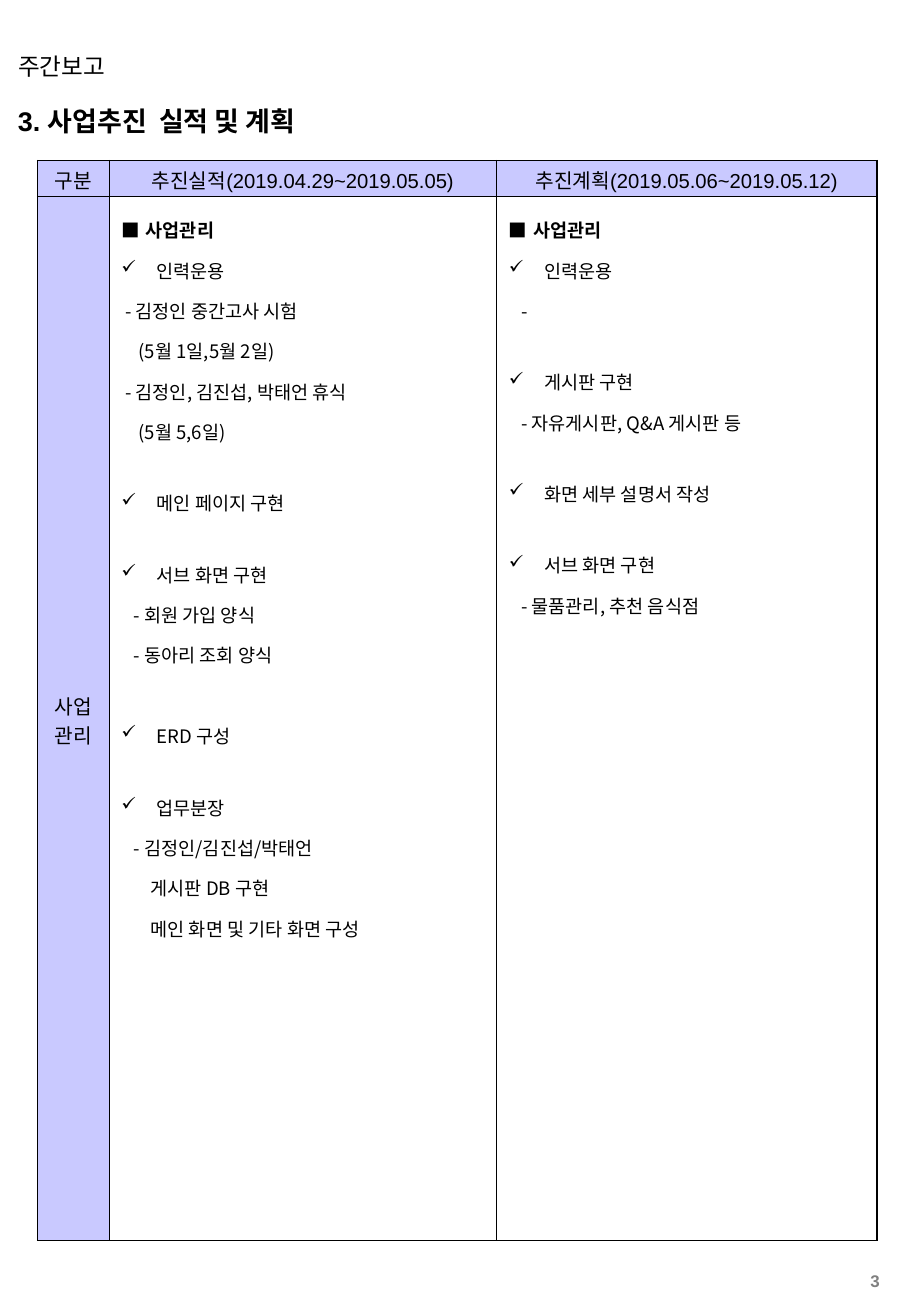
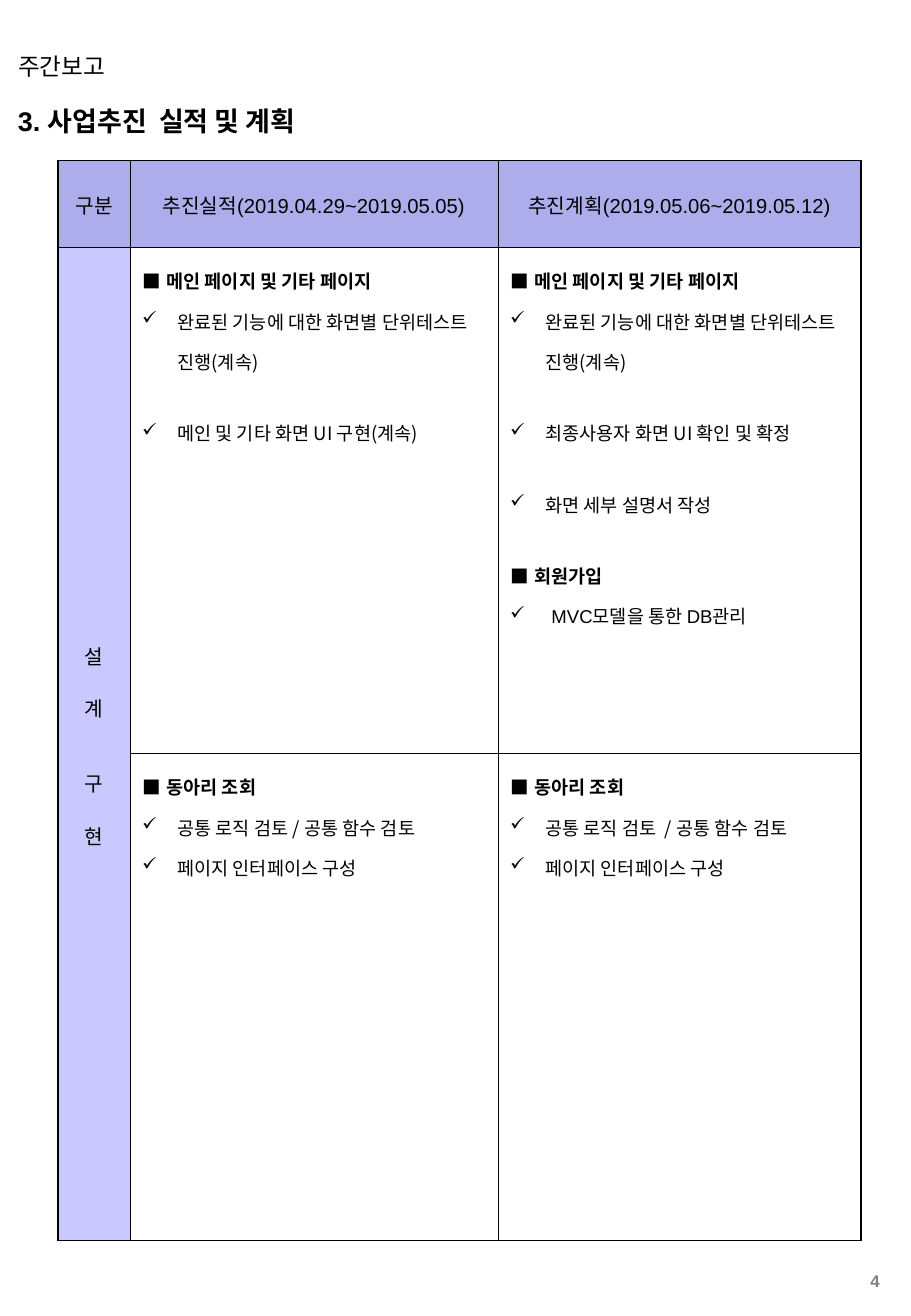
from lxml import etree
from pptx import Presentation
from pptx.dml.color import RGBColor
from pptx.enum.text import MSO_ANCHOR, PP_ALIGN
from pptx.oxml.ns import qn
from pptx.util import Inches, Pt

BLACK = RGBColor(0x00, 0x00, 0x00)
GRAY = RGBColor(0x80, 0x80, 0x80)
LAVENDER = RGBColor(0xC9, 0xC9, 0xFF)
PERIWINKLE = RGBColor(0xAD, 0xAD, 0xEB)
LATIN, KOREAN = "Arial", "Noto Sans CJK KR"

REPORT = "주간보고"
TITLE = "3. 사업추진  실적 및 계획"
HEADERS = ["구분", "추진실적(2019.04.29~2019.05.05)", "추진계획(2019.05.06~2019.05.12)"]
TABLE_TOP = 1.32
THIN, THICK = 0.45, 1.08
GAP, WIDE_GAP = 18.4, 24

# Left margin and first-line indent in inches, then font and weight
STYLES = {
    "heading": dict(margin=0.2, indent=-0.2, font=KOREAN, bold=True),
    "check": dict(margin=0.29, indent=-0.29, bullet="✓"),
    "latin check": dict(margin=0.34, indent=-0.34, font=LATIN, bullet="✓"),
    "outer dash": dict(margin=0.03),
    "outer more": dict(margin=0.14),
    "dash": dict(margin=0.1),
    "more": dict(margin=0.24),
}

# Each line: style, text, optional space before in points
MANAGEMENT_DONE = [
    ("heading", "■\t사업관리"),
    ("check", "인력운용"),
    ("outer dash", "- 김정인 중간고사 시험"),
    ("outer more", "(5월 1일,5월 2일)"),
    ("outer dash", "- 김정인, 김진섭, 박태언 휴식"),
    ("outer more", "(5월 5,6일)"),
    ("check", "메인 페이지 구현", GAP),
    ("check", "서브 화면 구현", GAP),
    ("dash", "- 회원 가입 양식"),
    ("dash", "- 동아리 조회 양식"),
    ("check", "ERD 구성", WIDE_GAP),
    ("check", "업무분장", GAP),
    ("dash", "- 김정인/김진섭/박태언"),
    ("more", "게시판 DB 구현"),
    ("more", "메인 화면 및 기타 화면 구성"),
]
MANAGEMENT_PLAN = [
    ("heading", "■\t사업관리"),
    ("check", "인력운용"),
    ("dash", "-"),
    ("check", "게시판 구현", GAP),
    ("dash", "- 자유게시판, Q&A 게시판 등"),
    ("check", "화면 세부 설명서 작성", GAP),
    ("check", "서브 화면 구현", GAP),
    ("dash", "- 물품관리, 추천 음식점"),
]
PAGES_COMMON = [
    ("heading", "■\t메인 페이지 및 기타 페이지"),
    ("check", "완료된 기능에 대한 화면별 단위테스트 진행(계속)"),
]
PAGES_DONE = PAGES_COMMON + [("check", "메인 및 기타 화면 UI 구현(계속)", GAP)]
PAGES_PLAN = PAGES_COMMON + [
    ("check", "최종사용자 화면 UI 확인 및 확정", GAP),
    ("check", "화면 세부 설명서 작성", GAP),
    ("heading", "■\t회원가입", GAP),
    ("latin check", "MVC모델을 통한 DB관리"),
]


def club_lines(review):
    return [("heading", "■\t동아리 조회"), ("check", review), ("check", "페이지 인터페이스 구성")]


SLIDES = [
    dict(
        number=3, left=0.31, columns=[0.59, 3.19, 3.13], rows=[0.3, 8.6], header_fill=LAVENDER,
        label=[("사업", 0), ("관리", 0)],
        body=[(MANAGEMENT_DONE, MANAGEMENT_PLAN)],
    ),
    dict(
        number=4, left=0.48, columns=[0.59, 3.03, 2.99], rows=[0.72, 4.17, 4.01], header_fill=PERIWINKLE,
        label=[("설", 0), ("계", 13.6), ("구", 27.3), ("현", 13.6)],
        body=[
            (PAGES_DONE, PAGES_PLAN),
            (club_lines("공통 로직 검토 / 공통 함수 검토"), club_lines("공통 로직 검토  / 공통 함수 검토")),
        ],
    ),
]


def set_font(font, size, name=LATIN, bold=False, color=BLACK):
    for key, value in dict(size=Pt(size), name=name, bold=bold).items():
        setattr(font, key, value)
    font.color.rgb = color


def add_run(paragraph, text, size, **look):
    run = paragraph.add_run()
    run.text = text
    set_font(run.font, size, **look)
    etree.SubElement(run.font._element, qn("a:ea"), typeface=KOREAN)


def add_text(slide, box, text, size, align=PP_ALIGN.LEFT, **look):
    frame = slide.shapes.add_textbox(*map(Inches, box)).text_frame
    frame.word_wrap = True
    frame.paragraphs[0].alignment = align
    add_run(frame.paragraphs[0], text, size, **look)


def add_page_number(slide, number):
    frame = slide.shapes.add_textbox(*map(Inches, (6.78, 10.42, 0.56, 0.24))).text_frame
    frame.word_wrap = True
    paragraph = frame.paragraphs[0]
    paragraph.alignment = PP_ALIGN.RIGHT
    add_run(paragraph, str(number), 10, bold=True, color=GRAY)
    field = paragraph.runs[0]._r
    field.tag = qn("a:fld")
    field.set("id", "{B6F15528-21DE-4FAA-801E-634DDDAF4B2B}")
    field.set("type", "slidenum")


def next_paragraph(frame, index):
    return frame.add_paragraph() if index else frame.paragraphs[0]


def set_borders(cell, widths):
    """Draw black cell borders; widths are points for left, right, top, bottom."""
    properties = cell._tc.get_or_add_tcPr()
    for side, width in zip("LRTB", widths):
        line = etree.SubElement(properties, qn(f"a:ln{side}"), w=str(Pt(width)))
        fill = etree.SubElement(line, qn("a:solidFill"))
        etree.SubElement(fill, qn("a:srgbClr"), val=str(BLACK))


def fill_centered(cell, lines, color):
    """Fill a header or label cell; lines are (text, space before) pairs."""
    cell.fill.solid()
    cell.fill.fore_color.rgb = color
    cell.vertical_anchor = MSO_ANCHOR.MIDDLE
    margins = dict(margin_left=0, margin_right=0, margin_top=0.04, margin_bottom=0.02)
    for key, value in margins.items():
        setattr(cell, key, Inches(value))
    for index, (text, space) in enumerate(lines):
        paragraph = next_paragraph(cell.text_frame, index)
        paragraph.alignment = PP_ALIGN.CENTER
        paragraph.space_before = Pt(space)
        add_run(paragraph, text, 12)


def fill_body(cell, lines):
    cell.fill.background()
    for index, (kind, text, *space) in enumerate(lines):
        style = STYLES[kind]
        paragraph = next_paragraph(cell.text_frame, index)
        paragraph.line_spacing = 1.5
        paragraph.space_before = Pt(space[0] if space else 0)
        properties = paragraph._p.get_or_add_pPr()
        properties.set("marL", str(Inches(style["margin"])))
        properties.set("indent", str(Inches(style.get("indent", 0))))
        if "bullet" in style:
            etree.SubElement(properties, qn("a:buChar"), char=style["bullet"])
        add_run(paragraph, text, 11, name=style.get("font", KOREAN), bold=style.get("bold", False))


def add_plan_table(slide, page):
    columns, rows = page["columns"], page["rows"]
    box = (page["left"], TABLE_TOP, sum(columns), sum(rows))
    table = slide.shapes.add_table(len(rows), len(columns), *map(Inches, box)).table
    table.first_row = table.horz_banding = False
    for column, width in zip(table.columns, columns):
        column.width = Inches(width)
    for row, height in zip(table.rows, rows):
        row.height = Inches(height)
        for index, cell in enumerate(row.cells):
            left = THICK if index == 0 else THIN
            right = THICK if index == len(columns) - 1 else THIN
            set_borders(cell, (left, right, THIN, THIN))

    for index, header in enumerate(HEADERS):
        fill_centered(table.cell(0, index), [(header, 0)], page["header_fill"])
    label = table.cell(1, 0)
    if len(rows) > 2:
        label.merge(table.cell(len(rows) - 1, 0))
    fill_centered(label, page["label"], LAVENDER)
    for row_index, contents in enumerate(page["body"], start=1):
        for column_index, lines in enumerate(contents, start=1):
            fill_body(table.cell(row_index, column_index), lines)


def main():
    deck = Presentation()
    deck.slide_width, deck.slide_height = Inches(7.5), Inches(10.84)
    for page in SLIDES:
        slide = deck.slides.add_slide(deck.slide_layouts[6])
        add_page_number(slide, page["number"])
        add_text(slide, (0.05, 0.38, 5.95, 0.34), REPORT, 14)
        add_plan_table(slide, page)
        add_text(slide, (0.05, 0.81, 5.36, 0.37), TITLE, 16, bold=True)
    deck.element.set("firstSlideNum", str(SLIDES[0]["number"]))
    deck.save("out.pptx")


if __name__ == "__main__":
    main()
